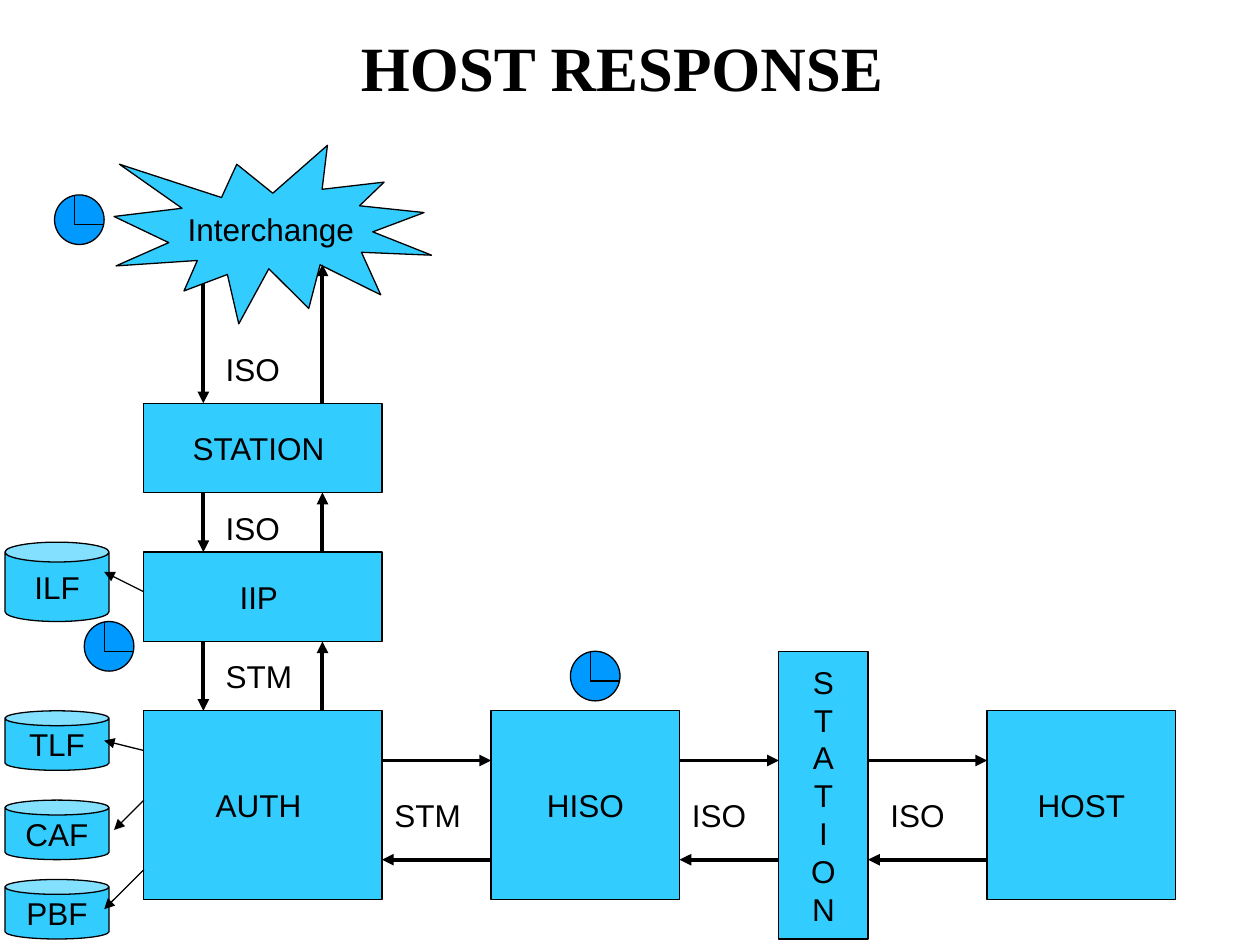
from lxml import etree
from pptx import Presentation
from pptx.dml.color import RGBColor
from pptx.enum.shapes import MSO_CONNECTOR, MSO_SHAPE
from pptx.enum.text import MSO_ANCHOR, PP_ALIGN
from pptx.oxml.ns import qn
from pptx.util import Cm, Pt

BLACK = RGBColor(0x00, 0x00, 0x00)
SKY = RGBColor(0x33, 0xCC, 0xFF)
BLUE = RGBColor(0x00, 0x99, 0xFF)
THIN, THICK = 0.75, 2.25


def write(frame, text, size=18, font="Arial", bold=False,
          align=PP_ALIGN.CENTER, anchor=MSO_ANCHOR.MIDDLE, wrap=False):
    """Fill a text frame; each line of text becomes a paragraph."""
    frame.text = text
    frame.word_wrap = wrap
    frame.vertical_anchor = anchor
    for paragraph in frame.paragraphs:
        paragraph.alignment = align
        paragraph.font.size = Pt(size)
        paragraph.font.name = font
        paragraph.font.bold = bold
        paragraph.font.color.rgb = BLACK


def add_node(slide, kind, left, top, width, height, text="", fill=SKY):
    node = slide.shapes.add_shape(kind, Cm(left), Cm(top), Cm(width), Cm(height))
    node.shadow.inherit = False
    node.fill.solid()
    node.fill.fore_color.rgb = fill
    node.line.color.rgb = BLACK
    node.line.width = Pt(THIN)
    if text:
        write(node.text_frame, text)


def add_label(slide, left, top, text):
    label = slide.shapes.add_textbox(Cm(left), Cm(top), Cm(2.35), Cm(1.02))
    write(label.text_frame, text, align=PP_ALIGN.LEFT,
          anchor=MSO_ANCHOR.TOP, wrap=True)


def add_line(slide, x1, y1, x2, y2, weight=THIN, arrow=True):
    line = slide.shapes.add_connector(
        MSO_CONNECTOR.STRAIGHT, Cm(x1), Cm(y1), Cm(x2), Cm(y2))
    line.line.color.rgb = BLACK
    line.line.width = Pt(weight)
    if arrow:
        etree.SubElement(line.line._get_or_add_ln(), qn("a:tailEnd"), type="triangle")
    etree.SubElement(line._element.spPr, qn("a:effectLst"))


def add_title(slide, left, top, width, height):
    title = slide.shapes.title
    title.left, title.top = Cm(left), Cm(top)
    title.width, title.height = Cm(width), Cm(height)
    write(title.text_frame, "HOST RESPONSE ", size=36,
          font="Times New Roman", bold=True, wrap=True)


def add_interchange_column(slide, left, top, width):
    """Interchange down to AUTH, with a request and a reply between levels."""
    add_node(slide, MSO_SHAPE.EXPLOSION1, left - 0.6, top, 6.4, 3.6, "Interchange")
    for text, offset, height in (("STATION ", 5.2, 1.8), ("IIP ", 8.2, 1.8),
                                 ("AUTH ", 11.4, 3.8)):
        add_node(slide, MSO_SHAPE.RECTANGLE, left, top + offset, width, height, text)
    # Link text, label top, start of the down arrow, end of the up arrow, lower box
    for text, label, start, end, lower in (("ISO", 4.0, 2.8, 2.4, 5.2),
                                           ("ISO", 7.2, 7.0, 7.0, 8.2),
                                           ("STM", 10.2, 10.0, 10.0, 11.4)):
        down, up = left + width / 4, left + width * 3 / 4
        add_line(slide, down, top + start, down, top + lower, THICK)
        add_line(slide, up, top + lower, up, top + end, THICK)
        add_label(slide, left + 1.4, top + label, text)


def add_host_row(slide, left, top):
    """HISO, STATION and HOST, linked both ways from the edge of AUTH."""
    for text, offset, drop, width, height in (
            ("HISO", 2.2, 1.2, 3.8, 3.8),
            ("\n".join("STATION"), 8, 0, 1.8, 5.8),
            ("HOST", 12.2, 1.2, 3.8, 3.8)):
        add_node(slide, MSO_SHAPE.RECTANGLE, left + offset, top + drop,
                 width, height, text)
    for text, start, end, label in (("STM", 0, 2.2, 0), ("ISO", 6, 8, 6),
                                    ("ISO", 9.8, 12.2, 10)):
        add_line(slide, left + start, top + 2.2, left + end, top + 2.2, THICK)
        add_line(slide, left + end, top + 4.2, left + start, top + 4.2, THICK)
        add_label(slide, left + label, top + 2.8, text)


def add_files(slide, left, top, width):
    """Data files, each with an arrow from the process that writes it."""
    for text, offset, height, start, tip_x, tip_y in (
            ("ILF", 0, 1.6, 1, 2, 0.6), ("TLF", 3.4, 1.2, 4.2, 2, 4),
            ("CAF", 5.2, 1.2, 5.2, 2.2, 5.8), ("PBF", 6.8, 1.2, 6.6, 2, 7.4)):
        add_node(slide, MSO_SHAPE.CAN, left, top + offset, width, height, text)
        add_line(slide, left + 2.8, top + start, left + tip_x, top + tip_y)


def add_timer(slide, left, top, size=1):
    add_node(slide, MSO_SHAPE.OVAL, left, top, size, size, fill=BLUE)
    hub_x, hub_y = left + size * 0.4, top + size * 0.6
    add_line(slide, hub_x, top, hub_x, hub_y, arrow=False)
    add_line(slide, hub_x, hub_y, left + size, hub_y, arrow=False)


def main():
    deck = Presentation()
    deck.slide_width, deck.slide_height = Cm(25.4), Cm(19.05)
    slide = deck.slides.add_slide(deck.slide_layouts[5])
    add_title(slide, 1.27, 0.53, 22.86, 1.63)
    add_interchange_column(slide, 2.9, 2.93, 4.8)
    add_host_row(slide, 7.7, 13.13)
    add_files(slide, 0.1, 10.93, 2.1)
    for left, top in ((1.1, 3.93), (1.7, 12.53), (11.5, 13.13)):
        add_timer(slide, left, top)
    deck.save("out.pptx")


if __name__ == "__main__":
    main()
